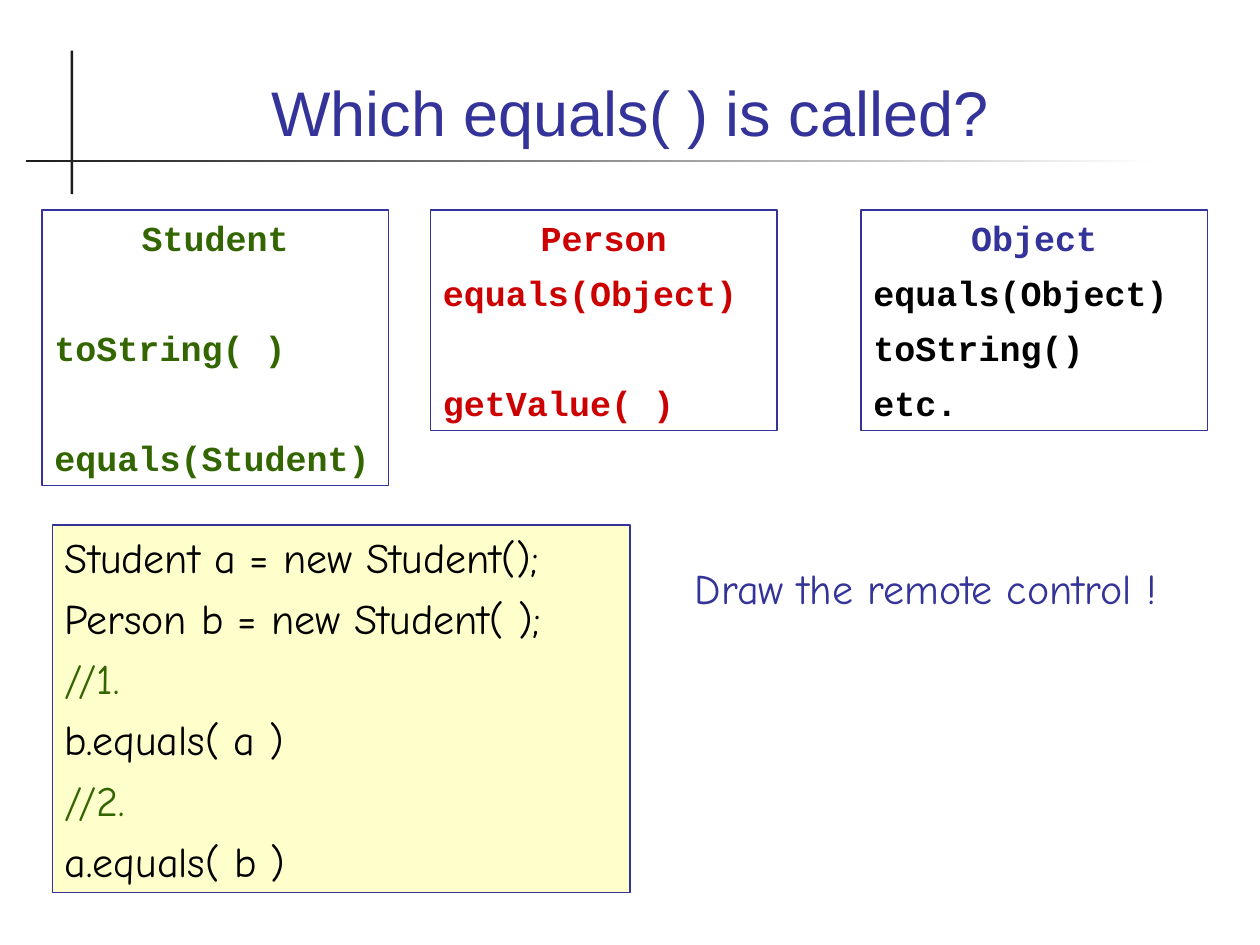
from dataclasses import dataclass
from typing import Optional

from pptx import Presentation
from pptx.dml.color import RGBColor as RGB
from pptx.enum.shapes import MSO_SHAPE as Shape
from pptx.enum.text import MSO_ANCHOR as Anchor, PP_ALIGN as Align
from pptx.util import Pt

NAVY = RGB(0x33, 0x33, 0x99)
GREEN = RGB(0x33, 0x66, 0x00)
RED = RGB(0xCC, 0x00, 0x00)
BLACK = RGB(0x00, 0x00, 0x00)
INK = RGB(0x1C, 0x1C, 0x1C)
WHITE = RGB(0xFF, 0xFF, 0xFF)
CREAM = RGB(0xFF, 0xFF, 0xCC)
SANS, MONO, COMIC = "Arial", "Courier New", "Comic Neue"
LEAD = 1.2


@dataclass
class Line:
    text: str
    color: RGB
    align: Align = Align.LEFT
    skip: int = 0


@dataclass
class Box:
    left: float
    top: float
    width: float
    height: float


@dataclass
class Card:
    left: float
    height: float
    lines: list[Line]


def head(text: str, color: RGB) -> Line:
    return Line(text, color, Align.CENTER)


CARDS = [
    Card(30, 157.5, [
        head("Student", GREEN),
        Line("toString( )", GREEN, skip=1),
        Line("equals(Student)", GREEN, skip=1),
    ]),
    Card(252, 126, [
        head("Person", RED),
        Line("equals(Object)", RED),
        Line("getValue( )", RED, skip=1),
    ]),
    Card(498, 126, [
        head("Object", NAVY),
        Line("equals(Object)", BLACK),
        Line("toString()", BLACK),
        Line("etc.", BLACK),
    ]),
]

CODE = [
    Line("Student a = new Student();", BLACK),
    Line("Person b = new Student( );", BLACK),
    Line("//1.", GREEN),
    Line("b.equals( a )", BLACK),
    Line("//2.", GREEN),
    Line("a.equals( b )", BLACK),
]


def add_rect(slide, box: Box, fill: Optional[RGB] = None,
             line: Optional[RGB] = None, weight: float = 1):
    rect = slide.shapes.add_shape(
        Shape.RECTANGLE, Pt(box.left), Pt(box.top), Pt(box.width), Pt(box.height))
    rect.shadow.inherit = False
    if fill is not None:
        rect.fill.solid()
        rect.fill.fore_color.rgb = fill
    if line is None:
        rect.line.fill.background()
    else:
        rect.line.color.rgb = line
        rect.line.width = Pt(weight)
    return rect


def add_box(slide, box: Box):
    return slide.shapes.add_textbox(
        Pt(box.left), Pt(box.top), Pt(box.width), Pt(box.height))


def put_text(shape, lines: list[Line], *, font: str, size: float,
             bold: bool = False, gap: float = 0, anchor: Anchor = Anchor.TOP) -> None:
    frame = shape.text_frame
    frame.word_wrap = True
    frame.vertical_anchor = anchor
    pitch = size * LEAD
    for i, line in enumerate(lines):
        para = frame.add_paragraph() if i else frame.paragraphs[0]
        para.alignment = line.align
        para.line_spacing = Pt(pitch)
        if i:
            para.space_before = Pt(gap + line.skip * (pitch + gap))
        run = para.add_run()
        run.text = line.text
        run.font.name = font
        run.font.size = Pt(size)
        run.font.bold = bold
        run.font.color.rgb = line.color


def add_cross(slide) -> None:
    add_rect(slide, Box(40.3, 29, 1.5, 82), INK)
    bar = add_rect(slide, Box(15, 91.2, 646.5, 1.5))
    bar.fill.gradient()
    bar.fill.gradient_angle = 0
    for stop, color in zip(bar.fill.gradient_stops, (INK, WHITE)):
        stop.color.rgb = color


def main() -> None:
    deck = Presentation()
    deck.slide_width, deck.slide_height = Pt(720), Pt(540)
    slide = deck.slides.add_slide(deck.slide_layouts[6])

    add_cross(slide)
    title = add_box(slide, Box(48, 20, 624, 68.5))
    put_text(title, [head("Which equals( ) is called?", NAVY)],
             font=SANS, size=36, anchor=Anchor.BOTTOM)

    for card in CARDS:
        rect = add_rect(slide, Box(card.left - 6, 120, 198, card.height), WHITE, NAVY)
        put_text(rect, card.lines, font=MONO, size=20, bold=True, gap=7.5)

    code = add_rect(slide, Box(30, 300, 330, 210), CREAM, NAVY, 0.75)
    put_text(code, CODE, font=COMIC, size=24, gap=6)

    note = add_box(slide, Box(390, 318, 318, 36))
    put_text(note, [Line("Draw the remote control !", NAVY)], font=COMIC, size=24)

    deck.save("out.pptx")


if __name__ == "__main__":
    main()
